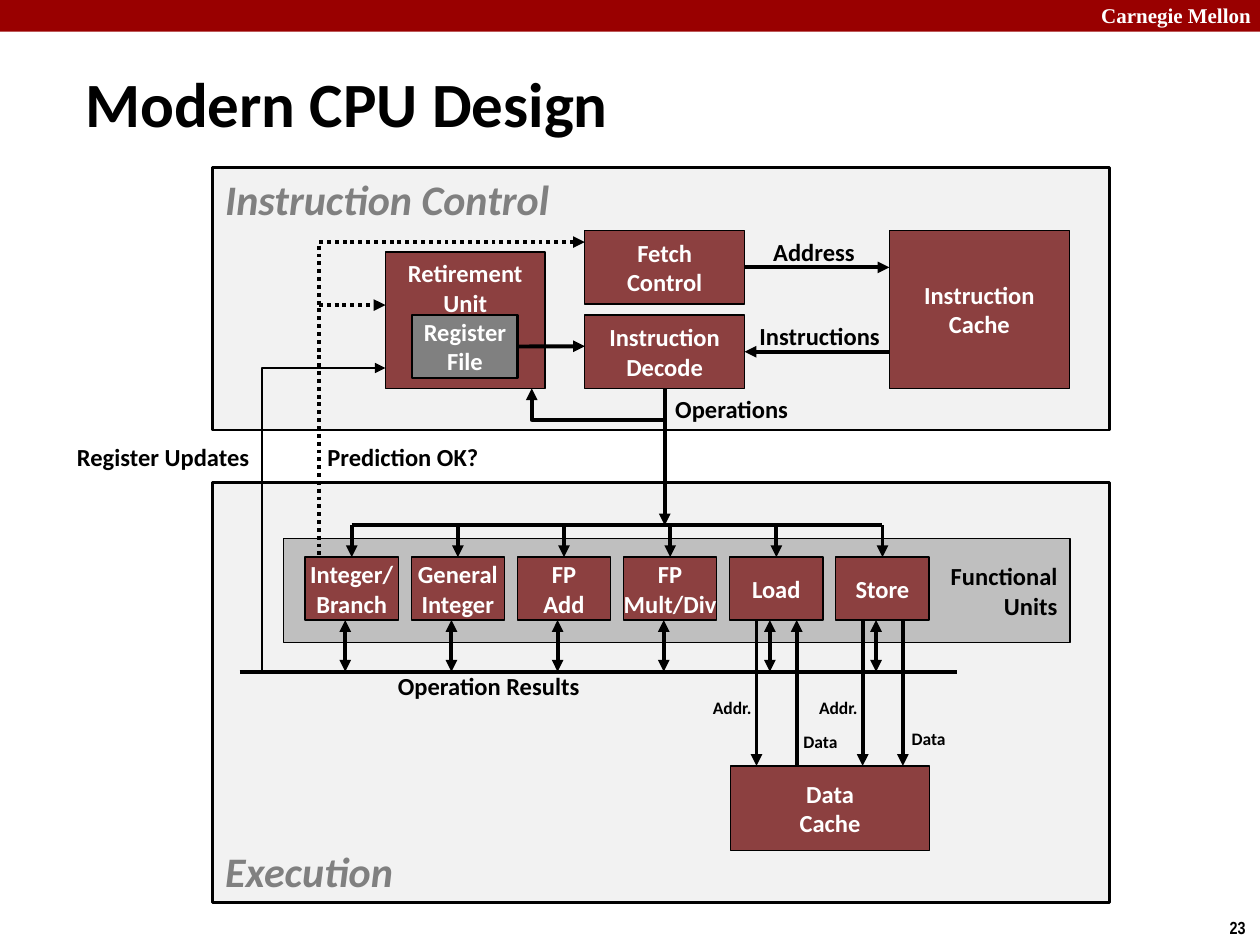
from dataclasses import dataclass
from typing import Optional

from lxml import etree
from pptx import Presentation, util as u
from pptx.dml.color import RGBColor
from pptx.enum import dml, shapes, text
from pptx.oxml import ns

BRICK, GRAY, BLACK, WHITE = "8C4040", "808080", "000000", "FFFFFF"
LEFT, CENTER, RIGHT = text.PP_ALIGN.LEFT, text.PP_ALIGN.CENTER, text.PP_ALIGN.RIGHT
TOP, MIDDLE, BOTTOM = text.MSO_ANCHOR.TOP, text.MSO_ANCHOR.MIDDLE, text.MSO_ANCHOR.BOTTOM
SIDE_TOP, SIDE_BOTTOM, SIDE_RIGHT = 0, 2, 3


@dataclass
class Type:
    size: int = 14
    color: str = BLACK
    align: text.PP_ALIGN = LEFT
    anchor: text.MSO_ANCHOR = TOP
    italic: bool = False
    face: str = "Calibri"
    wrap: bool = False


@dataclass
class Block:
    words: str
    left: float
    top: float
    width: float
    height: float
    type: Type
    fill: str = BRICK
    edge: float = 0.75


@dataclass
class Label:
    words: str
    left: float
    top: float
    width: float
    height: float
    type: Type
    grow: bool = True


@dataclass
class Stroke:
    weight: float = 2.25
    dotted: bool = False
    head: bool = False
    tail: bool = False


UNIT_TYPE = Type(color=WHITE, align=CENTER, anchor=MIDDLE)
CENTERED = Type(align=CENTER)
SMALL = Type(size=10, align=CENTER)
PLAIN, ARROW, DOUBLE = Stroke(), Stroke(tail=True), Stroke(head=True, tail=True)


def rgb(hex_color: str) -> RGBColor:
    return RGBColor.from_string(hex_color)


def write(frame, words: str, style: Type) -> None:
    frame.word_wrap = style.wrap
    frame.vertical_anchor = style.anchor
    frame.text = words
    for paragraph in frame.paragraphs:
        paragraph.alignment = style.align
        font = paragraph.font
        font.name, font.size, font.bold = style.face, u.Pt(style.size), True
        font.italic = style.italic
        font.color.rgb = rgb(style.color)


def draw_block(slide, block: Block):
    box = slide.shapes.add_shape(
        shapes.MSO_SHAPE.RECTANGLE, u.Cm(block.left), u.Cm(block.top),
        u.Cm(block.width), u.Cm(block.height))
    box.shadow.inherit = False
    box.fill.solid()
    box.fill.fore_color.rgb = rgb(block.fill)
    if block.edge:
        box.line.color.rgb = rgb(BLACK)
        box.line.width = u.Pt(block.edge)
    else:
        box.line.fill.background()
    if block.words:
        write(box.text_frame, block.words, block.type)
    return box


def draw_label(slide, label: Label) -> None:
    box = slide.shapes.add_textbox(
        u.Cm(label.left), u.Cm(label.top), u.Cm(label.width), u.Cm(label.height))
    write(box.text_frame, label.words, label.type)
    if label.grow:
        box.text_frame.auto_size = text.MSO_AUTO_SIZE.SHAPE_TO_FIT_TEXT


def apply_stroke(shape, stroke: Stroke) -> None:
    shape.line.color.rgb = rgb(BLACK)
    shape.line.width = u.Pt(stroke.weight)
    if stroke.dotted:
        shape.line.dash_style = dml.MSO_LINE.ROUND_DOT
    outline = shape.element.spPr.find(ns.qn("a:ln"))
    for tag, shown in (("a:headEnd", stroke.head), ("a:tailEnd", stroke.tail)):
        if shown:
            etree.SubElement(outline, ns.qn(tag), type="triangle")


def draw_line(slide, x1: float, y1: float, x2: float, y2: float, stroke: Stroke,
              begin: Optional[tuple] = None, end: Optional[tuple] = None) -> None:
    line = slide.shapes.add_connector(
        shapes.MSO_CONNECTOR.STRAIGHT, u.Cm(x1), u.Cm(y1), u.Cm(x2), u.Cm(y2))
    if begin:
        line.begin_connect(*begin)
    if end:
        line.end_connect(*end)
    apply_stroke(line, stroke)
    etree.SubElement(line.element.spPr, ns.qn("a:effectLst"))


def draw_route(slide, points: list, stroke: Stroke) -> None:
    start, *rest = [(u.Cm(x), u.Cm(y)) for x, y in points]
    builder = slide.shapes.build_freeform(*start)
    builder.add_line_segments(rest, close=False)
    route = builder.convert_to_shape()
    route.shadow.inherit = False
    route.fill.background()
    apply_stroke(route, stroke)


def main() -> None:
    deck = Presentation()
    deck.slide_width, deck.slide_height = u.Cm(25.4), u.Cm(19.05)
    slide = deck.slides.add_slide(deck.slide_layouts[6])

    heading = Type(size=24, color=GRAY, italic=True)
    draw_block(slide, Block("", 0, 0, 25.4, 0.64, heading, "990000", 0))
    draw_block(slide, Block("Execution", 4.29, 9.73, 18.08, 8.46,
                            Type(size=24, color=GRAY, italic=True, anchor=BOTTOM),
                            "F2F2F2", 1.5))
    draw_block(slide, Block("Functional\nUnits", 5.72, 10.85, 15.85, 2.11,
                            Type(align=RIGHT, anchor=MIDDLE), "BFBFBF"))
    draw_block(slide, Block("Instruction Control", 4.29, 3.38, 18.08, 5.29,
                            heading, "F2F2F2", 1.5))

    draw_block(slide, Block("Instruction\nCache", 17.93, 4.65, 3.63, 3.18, UNIT_TYPE))
    draw_block(slide, Block("Data\nCache", 14.73, 15.44, 4.01, 1.7, UNIT_TYPE))
    fetch = draw_block(slide, Block("Fetch\nControl", 11.79, 4.65, 3.22, 1.48, UNIT_TYPE))
    decode = draw_block(slide, Block("Instruction\nDecode", 11.79, 6.35, 3.22, 1.48, UNIT_TYPE))
    draw_block(slide, Block("Retirement\nUnit", 7.77, 5.08, 3.22, 2.75,
                            Type(color=WHITE, align=CENTER)))
    register_file = draw_block(slide, Block("Register\nFile", 8.31, 6.35, 2.13, 1.27,
                                            UNIT_TYPE, GRAY, 1.5))

    draw_line(slide, 15.01, 5.39, 17.93, 5.39, ARROW, begin=(fetch, SIDE_RIGHT))
    draw_line(slide, 17.93, 7.09, 15.01, 7.09, ARROW, end=(decode, SIDE_RIGHT))
    draw_line(slide, 13.4, 7.83, 13.4, 10.59, ARROW, begin=(decode, SIDE_BOTTOM))
    draw_line(slide, 10.44, 6.98, 11.79, 6.98, ARROW, begin=(register_file, SIDE_RIGHT))
    draw_line(slide, 6.43, 6.15, 7.77, 6.15, Stroke(dotted=True, tail=True))
    draw_route(slide, [(11.79, 4.88), (6.43, 4.88), (6.43, 11.23)],
               Stroke(dotted=True, head=True))
    draw_route(slide, [(7.77, 7.42), (5.28, 7.42), (5.28, 13.54)],
               Stroke(weight=1.5, head=True))
    draw_route(slide, [(13.4, 8.46), (10.72, 8.46), (10.72, 7.83)], ARROW)

    units = ["Integer/\nBranch", "General\nInteger", "FP\nAdd", "FP\nMult/Div", "Load", "Store"]
    first, pitch, width = 6.15, 2.14, 1.88
    unit_top, unit_bottom, issue_bus, result_bus, cache_top = 11.23, 12.5, 10.59, 13.54, 15.44
    for index, words in enumerate(units):
        left = first + index * pitch
        middle = left + width / 2
        unit = draw_block(slide, Block(words, left, unit_top, width, 1.27, UNIT_TYPE))
        draw_line(slide, middle, issue_bus, middle, unit_top, ARROW, end=(unit, SIDE_TOP))
        draw_line(slide, left + 0.81, unit_bottom, left + 0.81, result_bus, DOUBLE)
        if words in ("Load", "Store"):
            address, data = left + 0.54, left + 1.35
            draw_line(slide, address, unit_bottom, address, cache_top, ARROW)
            ends = (cache_top, unit_bottom) if words == "Load" else (unit_bottom, cache_top)
            draw_line(slide, data, ends[0], data, ends[1], ARROW)
            draw_label(slide, Label("Addr.", left - 0.61, 13.92, 1.32, 0.69, SMALL))
    bus_start = first + width / 2
    draw_line(slide, bus_start, issue_bus, bus_start + 5 * pitch, issue_bus, PLAIN)
    draw_line(slide, 4.83, result_bus, 19.3, result_bus, PLAIN)

    labels = [
        Label("Carnegie Mellon", 21.95, -0.08, 3.63, 0.76,
              Type(size=12, color=WHITE, face="Times New Roman", wrap=True)),
        Label("23", 24.54, 18.36, 0.86, 0.69, Type(size=10, face="Arial Narrow")),
        Label("Modern CPU Design", 1.47, 1.27, 16.28, 1.6,
              Type(size=36, anchor=MIDDLE, wrap=True), grow=False),
        Label("Address", 15.32, 4.65, 2.18, 0.86, CENTERED),
        Label("Instructions", 15.04, 6.35, 2.97, 0.86, CENTERED),
        Label("Operations", 13.34, 7.82, 2.82, 0.86, CENTERED),
        Label("Prediction OK?", 6.35, 8.79, 3.58, 0.86, Type()),
        Label("Register Updates", 1.27, 8.79, 4.01, 0.86, Type(align=RIGHT)),
        Label("Operation Results", 7.77, 13.41, 4.22, 0.86, Type()),
        Label("Data", 18.11, 14.55, 1.22, 0.69, SMALL),
        Label("Data", 15.93, 14.61, 1.22, 0.69, SMALL),
    ]
    for label in labels:
        draw_label(slide, label)

    deck.save("out.pptx")


if __name__ == "__main__":
    main()
